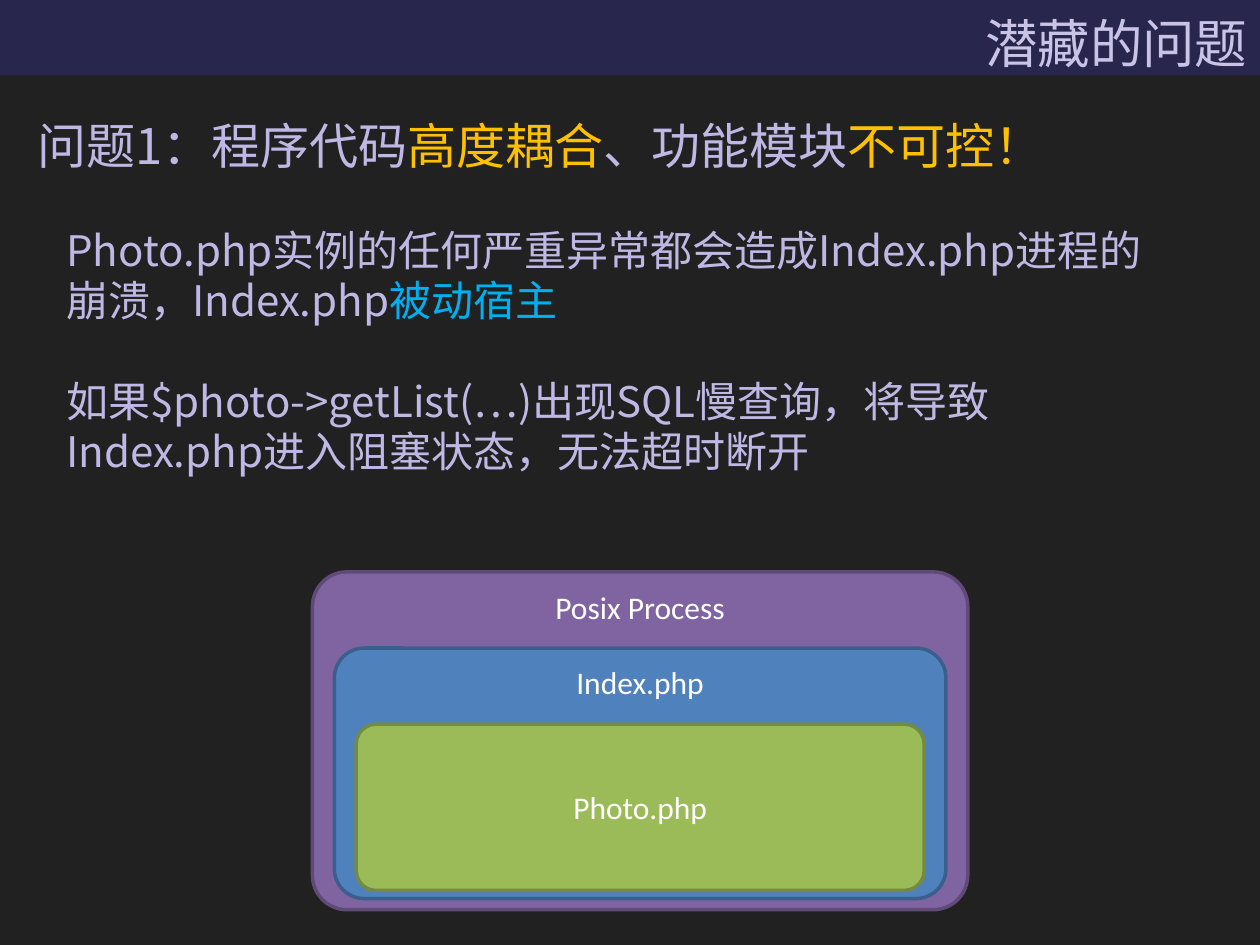
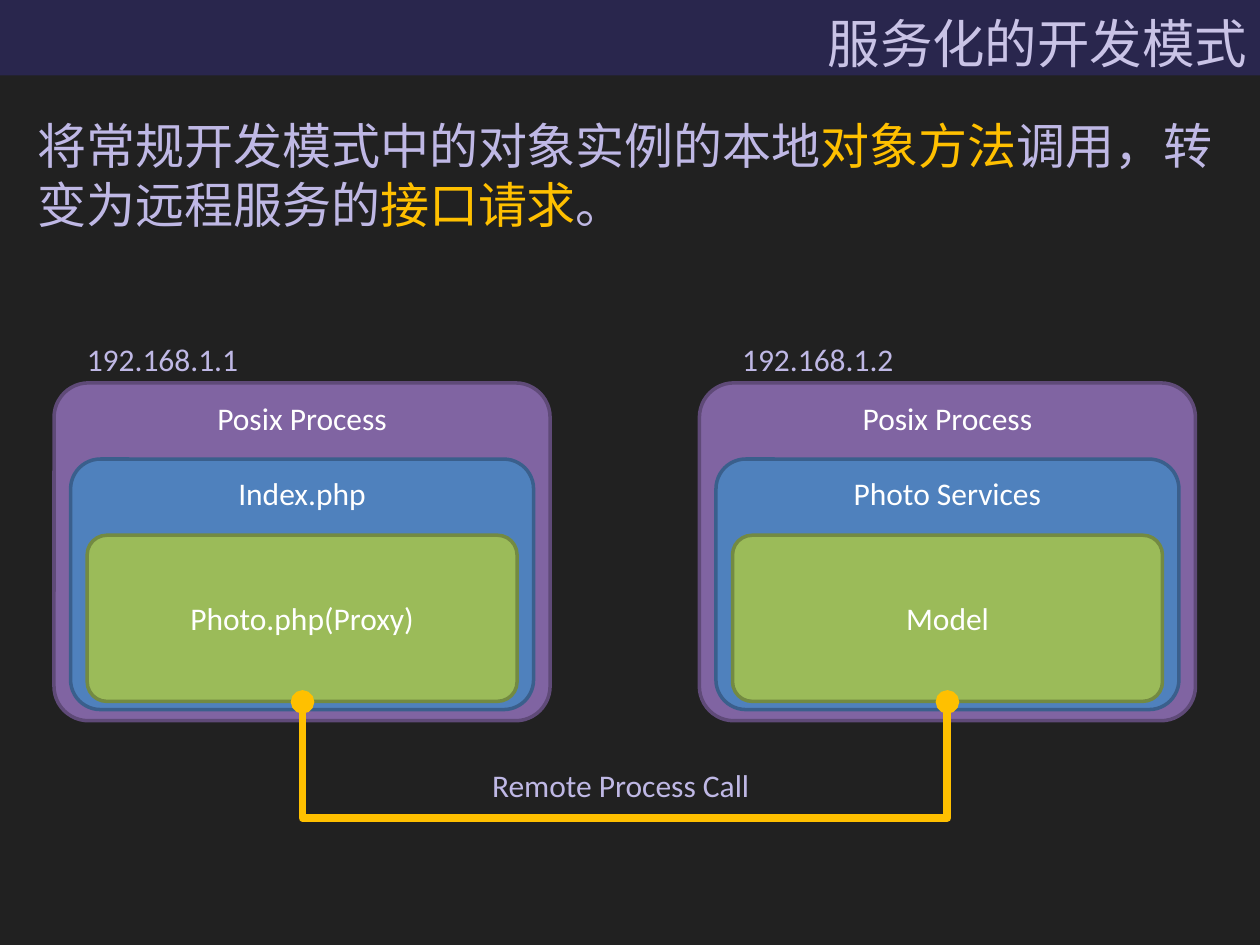
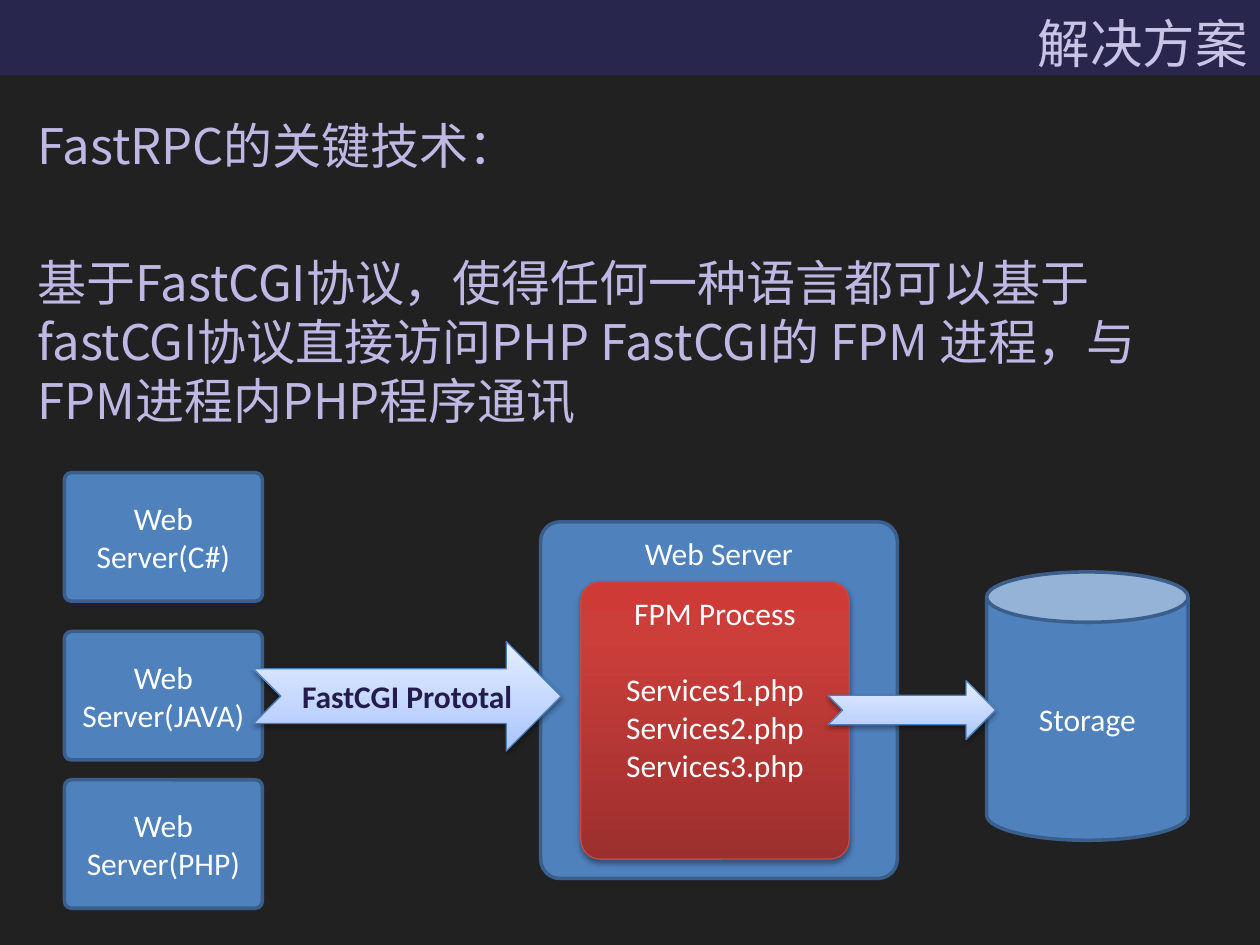
from copy import deepcopy

from lxml import etree
from pptx import Presentation
from pptx.dml.color import RGBColor
from pptx.enum.shapes import MSO_SHAPE as SHAPE
from pptx.enum.text import MSO_ANCHOR as ANCHOR, PP_ALIGN as ALIGN
from pptx.oxml.ns import qn
from pptx.util import Cm, Pt

BACKGROUND = RGBColor(0x21, 0x21, 0x21)
BAND = RGBColor(0x29, 0x26, 0x4D)
TITLE = RGBColor(0xC9, 0xC3, 0xE6)
LAVENDER = RGBColor(0xBF, 0xB8, 0xE5)
AMBER = RGBColor(0xFF, 0xC0, 0x00)
SKY = RGBColor(0x00, 0xB0, 0xF0)
WHITE = RGBColor(0xFF, 0xFF, 0xFF)
INDIGO = RGBColor(0x23, 0x1C, 0x4C)
PURPLE = RGBColor(0x80, 0x64, 0xA2)
PURPLE_EDGE = RGBColor(0x5F, 0x4A, 0x78)
BLUE = RGBColor(0x4F, 0x81, 0xBD)
BLUE_EDGE = RGBColor(0x3A, 0x5F, 0x8C)
GREEN = RGBColor(0x9B, 0xBB, 0x59)
GREEN_EDGE = RGBColor(0x73, 0x8A, 0x42)
RED_EDGE = RGBColor(0xBF, 0x4C, 0x48)
ARROW_EDGE = RGBColor(0x4B, 0x7E, 0xBC)
RED_GLOSS = [(0, RGBColor(0x9C, 0x2F, 0x2D)), (0.8, RGBColor(0xCB, 0x3E, 0x3A)),
             (1, RGBColor(0xCE, 0x3B, 0x37))]
ICE_GLOSS = [(0, RGBColor(0xA4, 0xC4, 0xFF)), (0.35, RGBColor(0xBF, 0xD4, 0xFF)),
             (1, RGBColor(0xE6, 0xEE, 0xFF))]

LATIN = "Calibri"
CHINESE = "Noto Sans CJK SC"


def write(shape, paragraphs, size=18, font=LATIN, align=ALIGN.CENTER,
          anchor=ANCHOR.TOP, gap=0):
    """Fill a shape with paragraphs of (words, colour) runs; gap precedes the second."""
    frame = shape.text_frame
    frame.word_wrap = True
    frame.vertical_anchor = anchor
    if font == CHINESE:
        frame.margin_top, frame.margin_bottom = Cm(0.2), 0
    for index, pieces in enumerate(paragraphs):
        paragraph = frame.add_paragraph() if index else frame.paragraphs[0]
        paragraph.alignment = align
        if index == 1:
            paragraph.space_before = Pt(gap)
        if font == CHINESE:
            paragraph.line_spacing = Pt(1.2 * size)
        for words, color in pieces:
            run = paragraph.add_run()
            run.text = words
            run.font.size = Pt(size)
            run.font.color.rgb = color
            run.font.name = font
            etree.SubElement(run.font._element, qn("a:ea"), typeface=font)


def add_box(slide, preset, at, fill, edge, corner=None):
    """Add a preset shape; a list of stops as fill makes it glossy with a shadow."""
    box = slide.shapes.add_shape(preset, *[Cm(length) for length in at])
    box.shadow.inherit = False
    if corner is not None:
        box.adjustments[0] = corner
    box.line.color.rgb = edge
    if not isinstance(fill, list):
        box.fill.solid()
        box.fill.fore_color.rgb = fill
        box.line.width = Pt(2)
        return box
    box.line.width = Pt(0.75)
    box.fill.gradient()
    box.fill.gradient_angle = 90
    properties = box._element.spPr
    stop_list = properties.find(qn("a:gradFill")).find(qn("a:gsLst"))
    stop_list.append(deepcopy(stop_list[0]))
    for stop, (position, color) in zip(box.fill.gradient_stops, fill):
        stop.position = position
        stop.color.rgb = color
    shadow = etree.SubElement(properties.find(qn("a:effectLst")), qn("a:outerShdw"),
                              blurRad=str(Pt(3.1)), dist=str(Pt(1.7)),
                              dir="5400000", rotWithShape="0")
    black = etree.SubElement(shadow, qn("a:srgbClr"), val="000000")
    etree.SubElement(black, qn("a:alpha"), val="36000")
    return box


deck = Presentation()
deck.slide_width, deck.slide_height = Cm(25.4), Cm(19.05)

# Title band and leading statement of every slide
topics = [
    ("潜藏的问题",
     [[("问题1：程序代码", LAVENDER), ("高度耦合", AMBER),
       ("、功能模块", LAVENDER), ("不可控！", AMBER)]]),
    ("服务化的开发模式",
     [[("将常规开发模式中的对象实例的本地", LAVENDER), ("对象方法", AMBER),
       ("调用，转变为远程服务的", LAVENDER), ("接口请求", AMBER), ("。", LAVENDER)]]),
    ("解决方案",
     [[("FastRPC的关键技术：", LAVENDER)],
      [("基于FastCGI协议，使得任何一种语言都可以基于fastCGI协议直接访问"
        "PHP FastCGI的 FPM 进程，与FPM进程内PHP程序通讯", LAVENDER)]]),
]
for title, statement in topics:
    slide = deck.slides.add_slide(deck.slide_layouts[6])
    slide.background.fill.solid()
    slide.background.fill.fore_color.rgb = BACKGROUND
    band = add_box(slide, SHAPE.RECTANGLE, (0, 0, 25.4, 1.52), BAND, BAND)
    band.line.fill.background()
    write(band, [[(title, TITLE)]], 30, CHINESE, ALIGN.RIGHT, ANCHOR.MIDDLE)
    body = slide.shapes.add_textbox(Cm(0.51), Cm(2.13), Cm(24.41), Cm(16.41))
    write(body, statement, 28, CHINESE, ALIGN.LEFT, gap=44.8)
problem, services, solution = deck.slides

# Nested processes of the first two slides
layers = [(6.81, PURPLE, PURPLE_EDGE, 0.102, ANCHOR.TOP),
          (5.05, BLUE, BLUE_EDGE, 0.119, ANCHOR.TOP),
          (3.35, GREEN, GREEN_EDGE, 0.118, ANCHOR.MIDDLE)]
hosts = [
    (problem, 6.3, 11.53, 13.21, ["Posix Process", "Index.php", "Photo.php"]),
    (services, 1.09, 7.72, 10, ["Posix Process", "Index.php", "Photo.php(Proxy)"]),
    (services, 14.1, 7.72, 10, ["Posix Process", "Photo Services", "Model"]),
]
for slide, left, top, width, names in hosts:
    inset = width / 30
    for depth, (name, layer) in enumerate(zip(names, layers)):
        height, fill, edge, corner, anchor = layer
        at = (left + depth * inset, top + depth * 1.535, width - 2 * depth * inset, height)
        box = add_box(slide, SHAPE.ROUNDED_RECTANGLE, at, fill, edge, corner)
        write(box, [[(name, WHITE)]], anchor=anchor)

# Slide 1: consequences
consequences = problem.shapes.add_textbox(Cm(1.09), Cm(4.32), Cm(22.4), Cm(6.4))
write(consequences,
      [[("Photo.php实例的任何严重异常都会造成Index.php进程的崩溃，Index.php", LAVENDER),
        ("被动宿主", SKY)],
       [("如果$photo->getList(…)出现SQL慢查询，将导致Index.php进入阻塞状态，无法超时断开",
         LAVENDER)]],
      24, CHINESE, ALIGN.LEFT, gap=28.8)

# Slide 2: addresses and the call between the hosts
captions = [("192.168.1.1", 1.5, 6.73, ALIGN.LEFT),
            ("192.168.1.2", 14.71, 6.73, ALIGN.LEFT),
            ("Remote Process Call", 8.31, 15.32, ALIGN.CENTER)]
for words, left, top, align in captions:
    caption = services.shapes.add_textbox(Cm(left), Cm(top), Cm(8.41), Cm(1.02))
    write(caption, [[(words, LAVENDER)]], align=align)

call_start, call_end, call_top, call_bottom = Cm(6.1), Cm(19.1), Cm(14.15), Cm(16.49)
route = services.shapes.build_freeform(call_start, call_top)
route.add_line_segments([(call_start, call_bottom), (call_end, call_bottom),
                         (call_end, call_top)], close=False)
call = route.convert_to_shape()
call.shadow.inherit = False
call.fill.background()
call.line.color.rgb = AMBER
call.line.width = Pt(4.5)
outline = call.line._get_or_add_ln()
for part in ("a:round", "a:headEnd", "a:tailEnd"):
    mark = etree.SubElement(outline, qn(part))
    if part != "a:round":
        mark.set("type", "oval")

# Slide 3: clients, service host and storage
host = add_box(solution, SHAPE.ROUNDED_RECTANGLE, (10.9, 10.52, 7.19, 7.19),
               BLUE, BLUE_EDGE, 0.054)
write(host, [[("Web Server", WHITE)]])
fpm = add_box(solution, SHAPE.ROUNDED_RECTANGLE, (11.71, 11.73, 5.41, 5.59),
              RED_GLOSS, RED_EDGE, 0.072)
fpm_lines = ["FPM Process"] + [f"Services{number}.php" for number in (1, 2, 3)]
write(fpm, [[(line, WHITE)] for line in fpm_lines], gap=22)
storage = add_box(solution, SHAPE.CAN, (19.89, 11.53, 4.06, 5.41), BLUE, BLUE_EDGE)
write(storage, [[("Storage", WHITE)]], anchor=ANCHOR.MIDDLE)

for language, top in [("C#", 9.53), ("JAVA", 12.73), ("PHP", 15.72)]:
    client = add_box(solution, SHAPE.ROUNDED_RECTANGLE, (1.3, top, 3.99, 2.59),
                     BLUE, BLUE_EDGE, 0.054)
    write(client, [[(f"Web Server({language})", WHITE)]], anchor=ANCHOR.MIDDLE)

protocol = add_box(solution, SHAPE.NOTCHED_RIGHT_ARROW, (5.11, 12.93, 6.2, 2.21),
                   ICE_GLOSS, ARROW_EDGE)
write(protocol, [[("FastCGI Prototal", INDIGO)]], anchor=ANCHOR.MIDDLE)
protocol.text_frame.paragraphs[0].runs[0].font.bold = True
add_box(solution, SHAPE.NOTCHED_RIGHT_ARROW, (16.69, 13.72, 3.38, 1.19),
        ICE_GLOSS, ARROW_EDGE)

deck.save("out.pptx")
